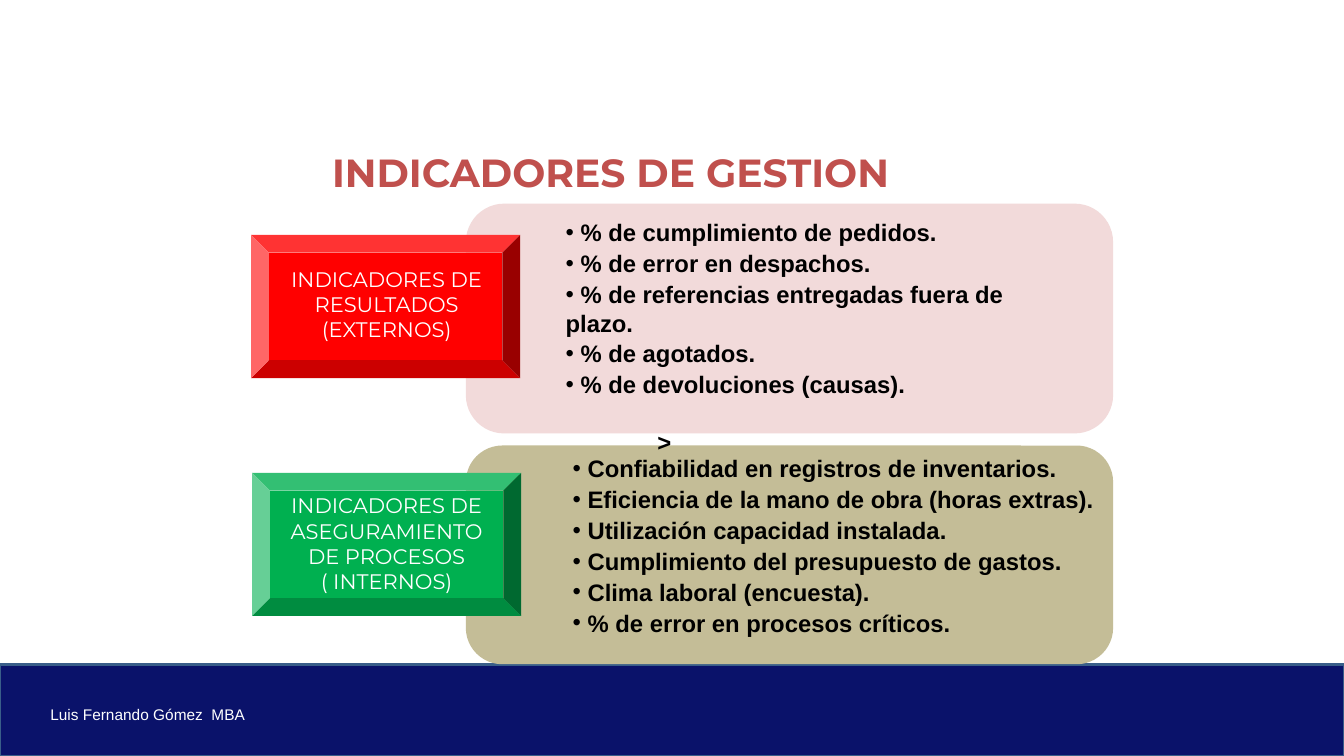
import pptx
import pptx.dml.color
import pptx.enum.shapes
import pptx.enum.text
import pptx.oxml
import pptx.oxml.ns
import pptx.util
from pptx.util import Inches

RGBColor = pptx.dml.color.RGBColor
Shapes = pptx.enum.shapes.MSO_SHAPE
Align = pptx.enum.text.PP_ALIGN

WHITE = RGBColor(0xFF, 0xFF, 0xFF)
BLACK = RGBColor(0, 0, 0)
NAVY = RGBColor(0x0A, 0x12, 0x6A)
STEEL = RGBColor(0x39, 0x5E, 0x89)
BRICK = RGBColor(0xC0, 0x50, 0x4D)
PINK = RGBColor(0xF2, 0xDA, 0xDA)
TAN = RGBColor(0xC4, 0xBD, 0x97)
RED = RGBColor(0xFF, 0, 0)
GREEN = RGBColor(0, 0xB0, 0x50)

RESULT_ITEMS = [
    "% de cumplimiento de pedidos.",
    "% de error en despachos.",
    "% de referencias entregadas fuera de plazo.",
    "% de agotados.",
    "% de devoluciones (causas).",
]
PROCESS_ITEMS = [
    "Confiabilidad en registros de inventarios.",
    "Eficiencia de la mano de obra (horas extras).",
    "Utilización capacidad instalada.",
    "Cumplimiento del presupuesto de gastos.",
    "Clima laboral (encuesta).",
    "% de error en procesos críticos.",
]


def write(paragraph, text, size=17, font="Arial", color=BLACK, bold=False,
          align=Align.LEFT, before=0, margin=0, indent=0, bullet=False):
    paragraph.text = text
    paragraph.alignment = align
    paragraph.space_before = pptx.util.Pt(before)
    paragraph.font.size = pptx.util.Pt(size)
    paragraph.font.name = font
    paragraph.font.bold = bold
    paragraph.font.color.rgb = color
    for run in paragraph.runs:
        run.font.size = pptx.util.Pt(size)
        run.font.name = font
        run.font.bold = bold
        run.font.color.rgb = color
    properties = paragraph._p.get_or_add_pPr()
    properties.set("marL", str(Inches(margin)))
    properties.set("indent", str(Inches(indent)))
    namespace = pptx.oxml.ns.nsdecls("a")
    if bullet:
        marks = [
            f'<a:buClr {namespace}><a:srgbClr val="{color}"/></a:buClr>',
            f'<a:buFont {namespace} typeface="Arial"/>',
            f'<a:buChar {namespace} char="•"/>',
        ]
    else:
        marks = [f"<a:buNone {namespace}/>"]
    for mark in marks:
        properties.insert_element_before(
            pptx.oxml.parse_xml(mark), "a:tabLst", "a:defRPr", "a:extLst")


class IndicatorSlide:
    heading_font = "Montserrat"

    def __init__(self, presentation):
        self.slide = presentation.slides.add_slide(presentation.slide_layouts[3])
        self.shapes = self.slide.shapes

    def panel(self, kind, box, fill, adjustment=None, line=None):
        shape = self.shapes.add_shape(kind, *map(Inches, box))
        shape.shadow.inherit = False
        shape.fill.solid()
        shape.fill.fore_color.rgb = fill
        if adjustment is not None:
            shape.adjustments[0] = adjustment
        if line is None:
            shape.line.fill.background()
        else:
            shape.line.color.rgb = line
            shape.line.width = pptx.util.Pt(2)

    def text(self, box, text, **style):
        shape = self.shapes.add_textbox(*map(Inches, box))
        shape.text_frame.word_wrap = True
        write(shape.text_frame.paragraphs[0], text, **style)

    def placeholder(self, index, box):
        shape = self.slide.placeholders[index]
        shape.left, shape.top, shape.width, shape.height = map(Inches, box)
        self.shapes._spTree.append(shape._element)
        frame = shape.text_frame
        frame.word_wrap = True
        frame.auto_size = pptx.enum.text.MSO_AUTO_SIZE.NONE
        frame.vertical_anchor = pptx.enum.text.MSO_ANCHOR.TOP
        return frame

    def title(self, box, text):
        frame = self.placeholder(0, box)
        write(frame.paragraphs[0], text, size=28, font=self.heading_font,
              color=BRICK, bold=True, align=Align.CENTER)

    def bullets(self, index, box, items):
        frame = self.placeholder(index, box)
        for position, item in enumerate(items):
            paragraph = frame.add_paragraph() if position else frame.paragraphs[0]
            write(paragraph, " " + item, bold=True, bullet=True,
                  before=1.7 if position else 0, indent=-0.12)
        return frame

    def bevel_label(self, bevel_box, text_box, text, fill):
        self.panel(Shapes.BEVEL, bevel_box, fill, 0.125)
        self.text(text_box, text, size=15, font=self.heading_font,
                  color=WHITE, align=Align.CENTER)


def main():
    presentation = pptx.Presentation()
    presentation.slide_width = Inches(13.33)
    presentation.slide_height = Inches(7.5)
    page = IndicatorSlide(presentation)

    page.panel(Shapes.RECTANGLE, (0, 6.59, 13.33, 0.91), NAVY, line=STEEL)
    page.text((0.4, 6.95, 3.11, 0.4), "Luis Fernando Gómez  MBA", size=11, color=WHITE)

    for top, height, fill in ((4.42, 2.17, TAN), (2.02, 2.28, PINK)):
        page.panel(Shapes.ROUNDED_RECTANGLE, (4.62, top, 6.42, height), fill, 0.167)

    page.title((2.14, 1.42, 7.83, 0.57), "INDICADORES DE GESTION")

    results = page.bullets(1, (5.51, 2.11, 5.15, 2.28), RESULT_ITEMS)
    write(results.add_paragraph(), ">", bold=True, before=21, margin=0.91)
    page.bullets(2, (5.58, 4.45, 5.46, 2.26), PROCESS_ITEMS)

    page.bevel_label((2.49, 2.33, 2.67, 1.42), (2.67, 2.59, 2.33, 0.85),
                     "INDICADORES DE RESULTADOS (EXTERNOS)", RED)
    page.bevel_label((2.5, 4.69, 2.67, 1.42), (2.67, 4.84, 2.33, 1.1),
                     "INDICADORES DE ASEGURAMIENTO DE PROCESOS\v( INTERNOS)", GREEN)

    presentation.save("out.pptx")


if __name__ == "__main__":
    main()
